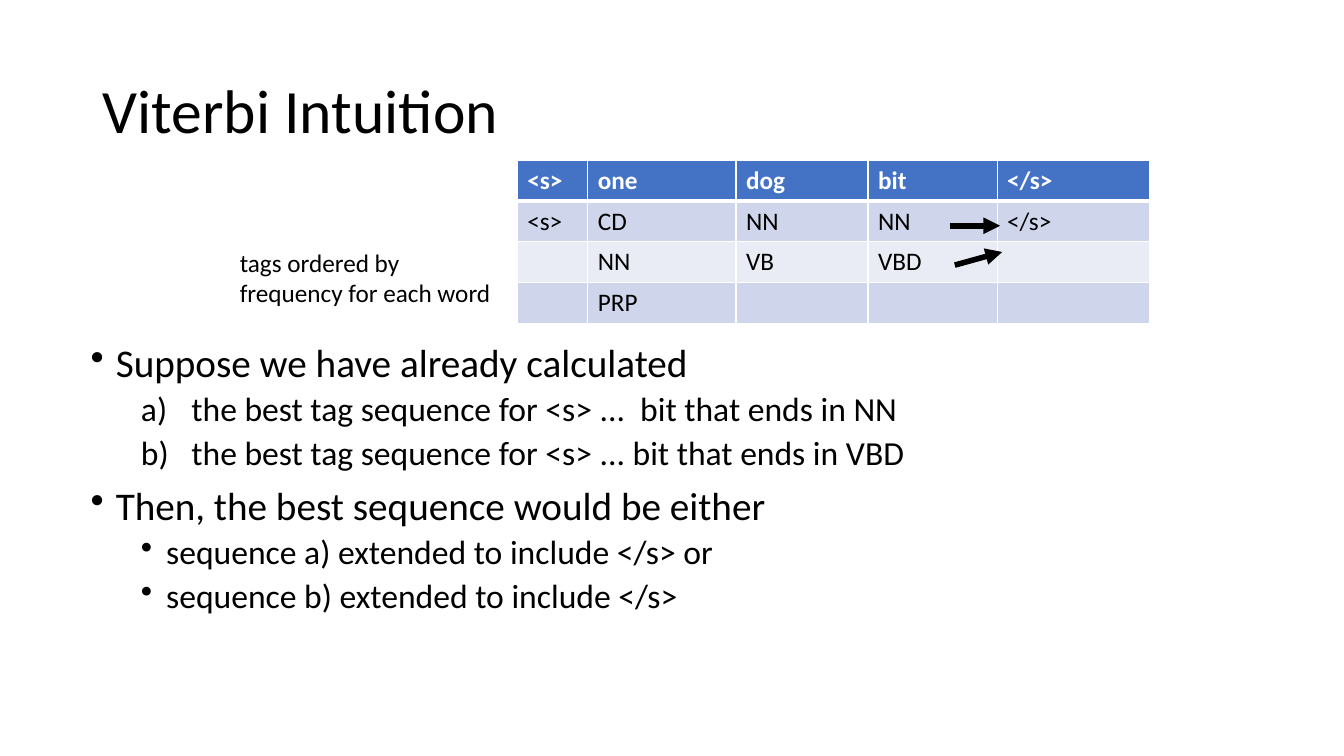
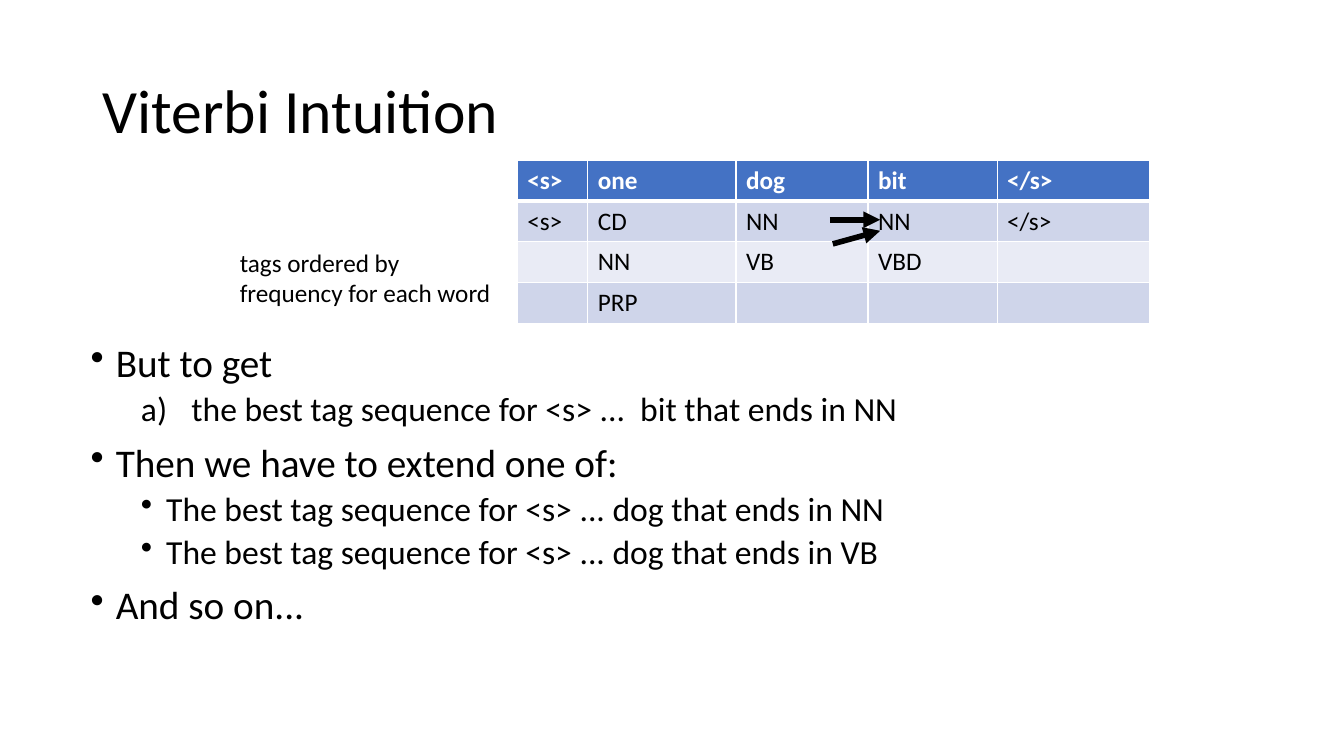
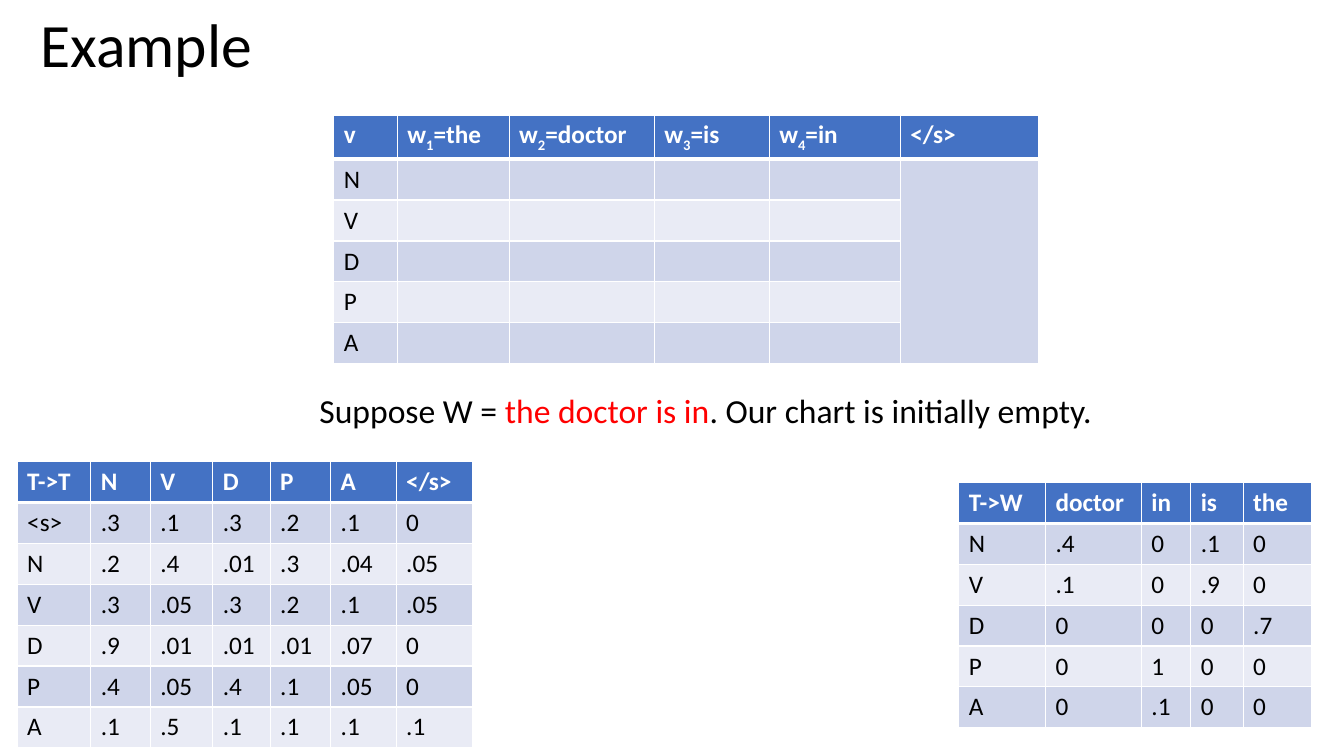
from lxml import etree
from pptx import Presentation
from pptx.dml.color import RGBColor
from pptx.enum.shapes import MSO_CONNECTOR
from pptx.enum.text import MSO_ANCHOR, MSO_AUTO_SIZE, PP_ALIGN
from pptx.oxml.ns import qn
from pptx.util import Inches, Pt

STRAIGHT = MSO_CONNECTOR.STRAIGHT
MIDDLE = MSO_ANCHOR.MIDDLE
LEFT = PP_ALIGN.LEFT
FIXED = MSO_AUTO_SIZE.NONE
FIT_SHAPE = MSO_AUTO_SIZE.SHAPE_TO_FIT_TEXT

BLACK = RGBColor(0x00, 0x00, 0x00)
WHITE = RGBColor(0xFF, 0xFF, 0xFF)
RED = RGBColor(0xFF, 0x00, 0x00)
HEADER_BLUE = RGBColor(0x44, 0x72, 0xC4)
BAND_DARK = RGBColor(0xCF, 0xD5, 0xEA)
BAND_LIGHT = RGBColor(0xE9, 0xEB, 0xF5)

FONT = "Calibri"
TITLE_ONLY = 5
THIN, THICK = 1, 3  # cell border widths in points

# Bullet kinds: level, left margin, hanging indent, size, space before
TOPIC, POINT, LETTERED = "topic", "point", "lettered"
BULLETS = {
    TOPIC: (0, 0.25, 0.25, 28, 10),
    POINT: (1, 0.75, 0.25, 24, 5),
    LETTERED: (1, 1, 0.5, 24, 5),
}

# Tagging lattice of the intuition slides
LATTICE_BOX = (5.13, 1.59, 6.26, 1.62)
LATTICE_COLUMNS = [0.7, 1.47, 1.31, 1.28, 1.51]
LATTICE = [
    ["<s>", "one", "dog", "bit", "</s>"],
    ["<s>", "CD", "NN", "NN", "</s>"],
    ["", "NN", "VB", "VBD", ""],
    ["", "PRP", "", "", ""],
]

TAGS = ["N", "V", "D", "P", "A"]
CHART_HEADER = ["v", ("w", "1", "=the"), ("w", "2", "=doctor"),
                ("w", "3", "=is"), ("w", "4", "=in"), "</s>"]
TRANSITIONS = [
    ["T->T", *TAGS, "</s>"],
    ["<s>", ".3", ".1", ".3", ".2", ".1", "0"],
    ["N", ".2", ".4", ".01", ".3", ".04", ".05"],
    ["V", ".3", ".05", ".3", ".2", ".1", ".05"],
    ["D", ".9", ".01", ".01", ".01", ".07", "0"],
    ["P", ".4", ".05", ".4", ".1", ".05", "0"],
    ["A", ".1", ".5", ".1", ".1", ".1", ".1"],
]
EMISSIONS = [
    ["T->W", "doctor", "in", "is", "the"],
    ["N", ".4", "0", ".1", "0"],
    ["V", ".1", "0", ".9", "0"],
    ["D", "0", "0", "0", ".7"],
    ["P", "0", "1", "0", "0"],
    ["A", "0", ".1", "0", "0"],
]


def inches(box):
    return [Inches(length) for length in box]


def add_run(paragraph, text, size, color=BLACK, bold=False):
    run = paragraph.add_run()
    run.text = text
    font = run.font
    font.name, font.size, font.bold = FONT, Pt(size), bold
    font.color.rgb = color
    return run


def add_titled_slide(prs, title, left, top):
    slide = prs.slides.add_slide(prs.slide_layouts[TITLE_ONLY])
    heading = slide.shapes.title
    heading.left, heading.top, heading.width, heading.height = inches(
        (left, top, 11.5, 1.45))
    frame = heading.text_frame
    frame.word_wrap = True
    frame.auto_size = FIXED
    frame.vertical_anchor = MIDDLE
    paragraph = frame.paragraphs[0]
    paragraph.alignment = LEFT
    paragraph.line_spacing = 0.9
    add_run(paragraph, title, 44)
    return slide


def add_label(slide, box, lines, size):
    """Unwrapped text; each line is a list of (text, colour) pieces."""
    frame = slide.shapes.add_textbox(*inches(box)).text_frame
    frame.word_wrap = False
    frame.auto_size = FIT_SHAPE
    for i, pieces in enumerate(lines):
        paragraph = frame.add_paragraph() if i else frame.paragraphs[0]
        for text, color in pieces:
            add_run(paragraph, text, size, color)


def add_bullets(slide, box, items):
    frame = slide.shapes.add_textbox(*inches(box)).text_frame
    frame.word_wrap = True
    for i, (kind, text) in enumerate(items):
        level, margin, hanging, size, before = BULLETS[kind]
        paragraph = frame.add_paragraph() if i else frame.paragraphs[0]
        properties = paragraph._p.get_or_add_pPr()
        properties.set("marL", str(Inches(margin)))
        properties.set("indent", str(-Inches(hanging)))
        if kind == LETTERED:
            etree.SubElement(properties, qn("a:buAutoNum"), type="alphaLcParenR")
        else:
            etree.SubElement(properties, qn("a:buChar"), char="•")
        paragraph.level = level
        paragraph.line_spacing = 0.9
        paragraph.space_before = Pt(before if i else 0)
        add_run(paragraph, text, size)


def set_borders(cell, top, bottom):
    properties = cell._tc.get_or_add_tcPr()
    for side, width in (("L", THIN), ("R", THIN), ("T", top), ("B", bottom)):
        line = etree.SubElement(properties, qn(f"a:ln{side}"), w=str(Pt(width)))
        fill = etree.SubElement(line, qn("a:solidFill"))
        etree.SubElement(fill, qn("a:srgbClr"), val=str(WHITE))


def fill_cell(cell, content, row):
    header = row == 0
    set_borders(cell, THICK if row == 1 else THIN, THICK if header else THIN)
    cell.fill.solid()
    cell.fill.fore_color.rgb = (
        HEADER_BLUE if header else BAND_DARK if row % 2 else BAND_LIGHT)
    # A tuple holds a base, its subscript and the rest
    pieces = content if isinstance(content, tuple) else (content,)
    for i, piece in enumerate(pieces):
        if piece:
            run = add_run(cell.text_frame.paragraphs[0], piece, 18,
                          WHITE if header else BLACK, header)
            if i == 1:
                run._r.get_or_add_rPr().set("baseline", "-25000")


def add_grid(slide, box, column_widths, rows):
    table = slide.shapes.add_table(
        len(rows), len(column_widths), *inches(box)).table
    for column, width in zip(table.columns, column_widths):
        column.width = Inches(width)
    for r, contents in enumerate(rows):
        for c, content in enumerate(contents):
            fill_cell(table.cell(r, c), content, r)
    return table


def add_arrow(slide, ends):
    arrow = slide.shapes.add_connector(STRAIGHT, *inches(ends))
    arrow.line.color.rgb = BLACK
    arrow.line.width = Pt(4)
    etree.SubElement(arrow.line._get_or_add_ln(), qn("a:tailEnd"), type="triangle")
    etree.SubElement(arrow._element.spPr, qn("a:effectLst"))


def add_lattice(slide, box, arrows):
    """Lattice with its note; arrows run relative to the box corner."""
    left, top = box[:2]
    add_grid(slide, box, LATTICE_COLUMNS, LATTICE)
    add_label(slide, (left - 2.85, top + 0.81, 2.72, 0.71),
              [[("tags ordered by", BLACK)],
               [("frequency for each word", BLACK)]], 18)
    for x1, y1, x2, y2 in arrows:
        add_arrow(slide, (left + x1, top + y1, left + x2, top + y2))


def build_intuition(prs, items, arrows):
    slide = add_titled_slide(prs, "Viterbi Intuition", 0.92, 0.4)
    add_bullets(slide, (0.8, 3.36, 11.5, 4.76), items)
    add_lattice(slide, LATTICE_BOX, arrows)


def build_example(prs):
    slide = add_titled_slide(prs, "Example", 0.3, -0.25)
    # Empty chart; the end column is one tall cell
    chart_rows = [CHART_HEADER] + [[tag] + [""] * 5 for tag in TAGS]
    chart = add_grid(slide, (3.31, 1.14, 7, 2.43),
                     [0.63, 1.11, 1.44, 1.14, 1.3, 1.37], chart_rows)
    chart.cell(1, 5).merge(chart.cell(len(TAGS), 5))
    add_label(slide, (3.07, 3.82, 7.93, 0.5),
              [[("Suppose W = ", BLACK), ("the doctor is in", RED),
                (". Our chart is initially empty.", BLACK)]], 24)
    # Probability tables
    add_grid(slide, (0.17, 4.58, 4.52, 2.84),
             [0.73, 0.59, 0.62, 0.57, 0.6, 0.65, 0.76], TRANSITIONS)
    add_grid(slide, (9.51, 4.79, 3.51, 2.43),
             [0.86, 0.95, 0.49, 0.52, 0.68], EMISSIONS)


def main():
    prs = Presentation()
    prs.slide_width, prs.slide_height = Inches(13.33), Inches(7.5)
    build_intuition(prs, [
        (TOPIC, "Suppose we have already calculated"),
        (LETTERED, "the best tag sequence for <s> ...  bit that ends in NN"),
        (LETTERED, "the best tag sequence for <s> ... bit that ends in VBD"),
        (TOPIC, "Then, the best sequence would be either"),
        (POINT, "sequence a) extended to include </s> or"),
        (POINT, "sequence b) extended to include </s>"),
    ], [(4.29, 0.65, 4.79, 0.65), (4.34, 1.04, 4.81, 0.91)])
    build_intuition(prs, [
        (TOPIC, "But to get"),
        (LETTERED, "the best tag sequence for <s> ...  bit that ends in NN"),
        (TOPIC, "Then we have to extend one of:"),
        (POINT, "The best tag sequence for <s> ... dog that ends in NN"),
        (POINT, "The best tag sequence for <s> ... dog that ends in VB"),
        (TOPIC, "And so on..."),
    ], [(3.1, 0.59, 3.6, 0.59), (3.13, 0.83, 3.6, 0.7)])
    build_example(prs)
    prs.save("out.pptx")


if __name__ == "__main__":
    main()
